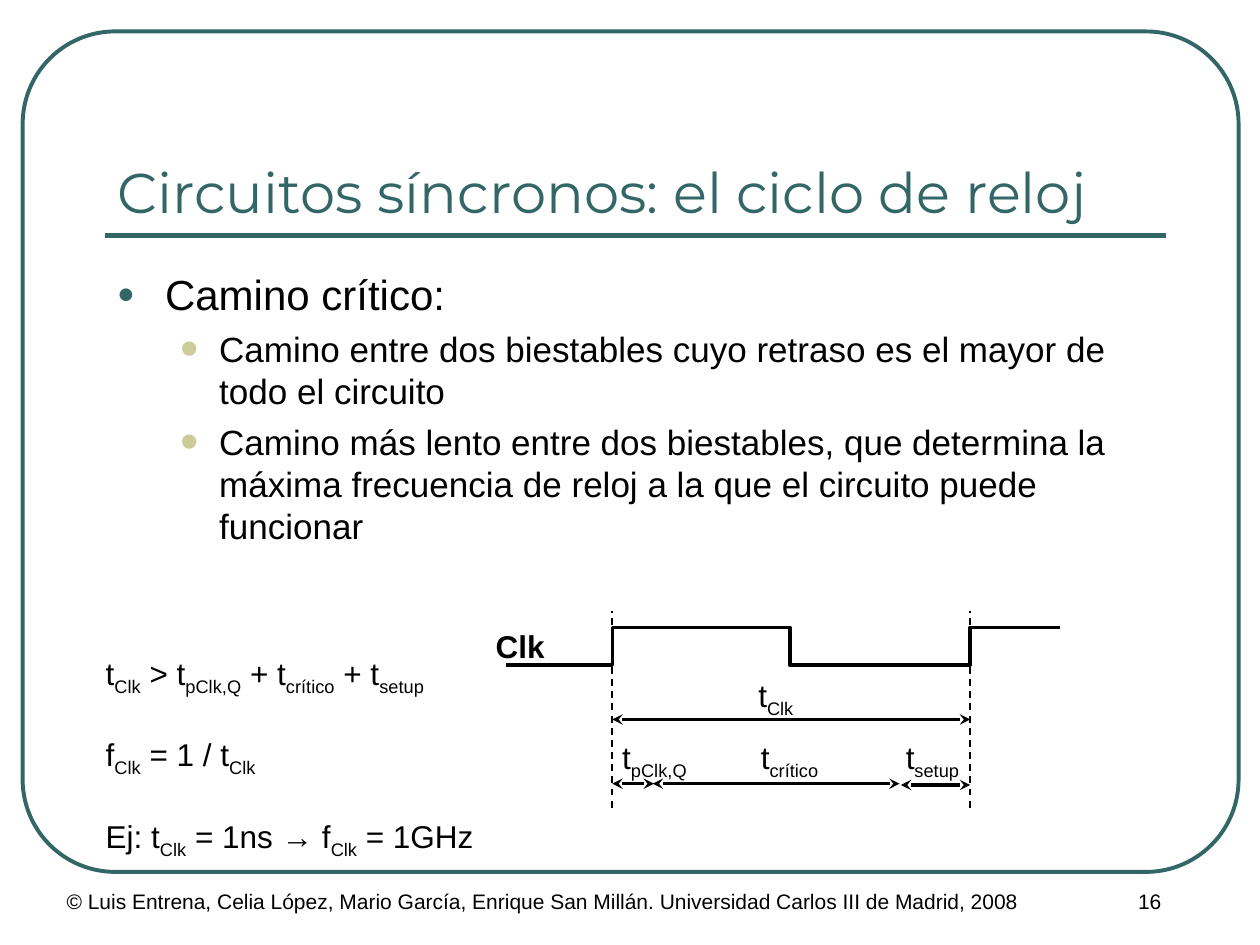
from lxml import etree
from pptx import Presentation
from pptx.dml.color import RGBColor
from pptx.enum import dml, shapes, text
from pptx.oxml.ns import qn
from pptx.util import Inches, Pt

THEME = {
    "green": "336666", "sand": "CCCC99", "ink": "000000",
    "title_font": "Montserrat", "font": "Arial",
    "title": 32, "bullet": 24, "sub_bullet": 20, "label": 18, "footer": 12,
}

TITLE = "Circuitos síncronos: el ciclo de reloj"
BULLETS = [
    (0, "Camino crítico:"),
    (1, "Camino entre dos biestables cuyo retraso es el mayor de todo el circuito"),
    (1, "Camino más lento entre dos biestables, que determina la máxima frecuencia "
        "de reloj a la que el circuito puede funcionar"),
]
LEVELS = [  # type size, space before, indent, hang, bullet, colour, bullet size %
    ("bullet", 6, 0.38, 0.38, "●", "green", 70),
    ("sub_bullet", 5, 0.81, 0.31, "•", "sand", 150),
]
# Square brackets mark subscripts
FORMULAS = ["t[Clk] > t[pClk,Q] + t[crítico] + t[setup]",
            "f[Clk] = 1 / t[Clk]",
            "Ej: t[Clk] = 1ns → f[Clk] = 1GHz"]
FOOTER = ("© Luis Entrena, Celia López, Mario García, Enrique San Millán. "
          "Universidad Carlos III de Madrid, 2008")
PAGE_NUMBER = "16"

LOW, HIGH = 5.28, 4.98
RISE, NEXT_RISE = 4.86, 7.7
CLOCK_STEPS = [  # start, edge, end, level before, level after
    (4.02, RISE, 5.58, LOW, HIGH),
    (5.55, 6.27, 7.12, HIGH, LOW),
    (6.85, NEXT_RISE, 8.41, LOW, HIGH),
]
SPANS = [(RISE, NEXT_RISE, 5.71), (RISE, 5.19, 6.22),
         (5.18, 7.14, 6.22), (7.15, NEXT_RISE, 6.23)]
SPAN_LABELS = [("t[Clk]", 5.92, 5.32, 0.5), ("t[pClk,Q]", 4.84, 5.81, 0.73),
               ("t[crítico]", 5.94, 5.81, 0.68), ("t[setup]", 7.09, 5.81, 0.65)]


def colour(name):
    return RGBColor.from_string(THEME[name])


def style(font, size, name="ink", face="font", bold=False):
    font.name, font.size, font.bold = THEME[face], Pt(THEME[size]), bold
    font.color.rgb = colour(name)


def place(shape, left, top, width, height):
    shape.left, shape.top = Inches(left), Inches(top)
    shape.width, shape.height = Inches(width), Inches(height)


def add_text(page, lines, at, size="label", align=text.PP_ALIGN.LEFT,
             bold=False, wrap=True, grow=False, gap=0):
    box = page.shapes.add_textbox(*map(Inches, at))
    frame = box.text_frame
    frame.word_wrap = wrap
    frame.auto_size = (text.MSO_AUTO_SIZE.SHAPE_TO_FIT_TEXT if grow
                       else text.MSO_AUTO_SIZE.NONE)
    for i, line in enumerate(lines):
        para = frame.paragraphs[0] if i == 0 else frame.add_paragraph()
        para.alignment = align
        para.space_before = Pt(gap if i else 0)
        for j, piece in enumerate(line.replace("]", "[").split("[")):
            if not piece:
                continue
            span = para.add_run()
            span.text = piece
            style(span.font, size, bold=bold)
            if j % 2:
                span.font._element.set("baseline", "-25000")


def add_line(page, start, end, width, name="ink", dashed=False, arrows=False):
    line = page.shapes.add_connector(shapes.MSO_CONNECTOR.STRAIGHT,
                                     *map(Inches, start + end))
    line.line.color.rgb = colour(name)
    line.line.width = Pt(width)
    if dashed:
        line.line.dash_style = dml.MSO_LINE.DASH
    if arrows:
        for tag in ("a:headEnd", "a:tailEnd"):
            etree.SubElement(line.line._get_or_add_ln(), qn(tag), type="stealth")
    etree.SubElement(line._element.spPr, qn("a:effectLst"))


def outline(shape, width, name="ink"):
    shape.shadow.inherit = False
    shape.fill.background()
    shape.line.color.rgb = colour(name)
    shape.line.width = Pt(width)


def add_frame(page):
    frame = page.shapes.add_shape(shapes.MSO_SHAPE.ROUNDED_RECTANGLE,
                                  *map(Inches, (0.18, 0.25, 9.65, 6.67)))
    frame.adjustments[0] = 0.11
    outline(frame, 2.25, "green")
    add_line(page, (0.83, 1.87), (9.25, 1.87), 3, "green")


def fill_title(title):
    place(title, 0.83, 0.58, 8.42, 1.25)
    frame = title.text_frame
    frame.text = TITLE
    frame.vertical_anchor = text.MSO_ANCHOR.BOTTOM
    frame.auto_size = text.MSO_AUTO_SIZE.NONE
    para = frame.paragraphs[0]
    para.alignment = text.PP_ALIGN.LEFT
    style(para.runs[0].font, "title", "green", "title_font")


def fill_body(body):
    place(body, 0.83, 2.08, 8.42, 2.77)
    frame = body.text_frame
    frame.auto_size = text.MSO_AUTO_SIZE.NONE
    for i, (level, line) in enumerate(BULLETS):
        size, before, indent, hang, mark, tint, scale = LEVELS[level]
        para = frame.paragraphs[0] if i == 0 else frame.add_paragraph()
        para.level, para.space_before = level, Pt(before)
        span = para.add_run()
        span.text = line
        style(span.font, size)
        props = para._p.get_or_add_pPr()
        props.set("marL", str(Inches(indent)))
        props.set("indent", str(-Inches(hang)))
        tinted = etree.SubElement(props, qn("a:buClr"))
        etree.SubElement(tinted, qn("a:srgbClr"), val=THEME[tint])
        etree.SubElement(props, qn("a:buSzPct"), val=str(scale * 1000))
        etree.SubElement(props, qn("a:buFont"), typeface=THEME["font"])
        etree.SubElement(props, qn("a:buChar"), char=mark)


def add_clock_step(page, start, edge, end, before, after):
    corners = [(Inches(x), Inches(y)) for x, y in
               ((start, before), (edge, before), (edge, after), (end, after))]
    builder = page.shapes.build_freeform(*corners[0])
    builder.add_line_segments(corners[1:], close=False)
    outline(builder.convert_to_shape(), 2)


def add_timing_diagram(page):
    add_text(page, ["Clk"], (3.77, 4.93, 0.65, 0.4), bold=True, grow=True,
             align=text.PP_ALIGN.RIGHT)
    for step in CLOCK_STEPS:
        add_clock_step(page, *step)
    for x in (RISE, NEXT_RISE):
        add_line(page, (x, 6.41), (x, 4.85), 1, dashed=True)
    for left, right, y in SPANS:
        add_line(page, (left, y), (right, y), 2, arrows=True)
    for label, left, top, width in SPAN_LABELS:
        add_text(page, [label], (left, top, width, 0.44), wrap=False, grow=True)


def main():
    deck = Presentation()
    deck.slide_width, deck.slide_height = Inches(10), Inches(7.5)
    page = deck.slides.add_slide(deck.slide_layouts[1])
    add_frame(page)
    fill_title(page.shapes.title)
    fill_body(page.placeholders[1])
    add_text(page, [FOOTER], (0.43, 7, 8.5, 0.5), size="footer")
    add_text(page, [PAGE_NUMBER], (8.25, 7, 1.75, 0.5), size="footer",
             align=text.PP_ALIGN.CENTER)
    add_timing_diagram(page)
    add_text(page, FORMULAS, (0.74, 5.14, 3.12, 1.73), wrap=False, grow=True,
             gap=22)
    deck.save("out.pptx")


if __name__ == "__main__":
    main()
